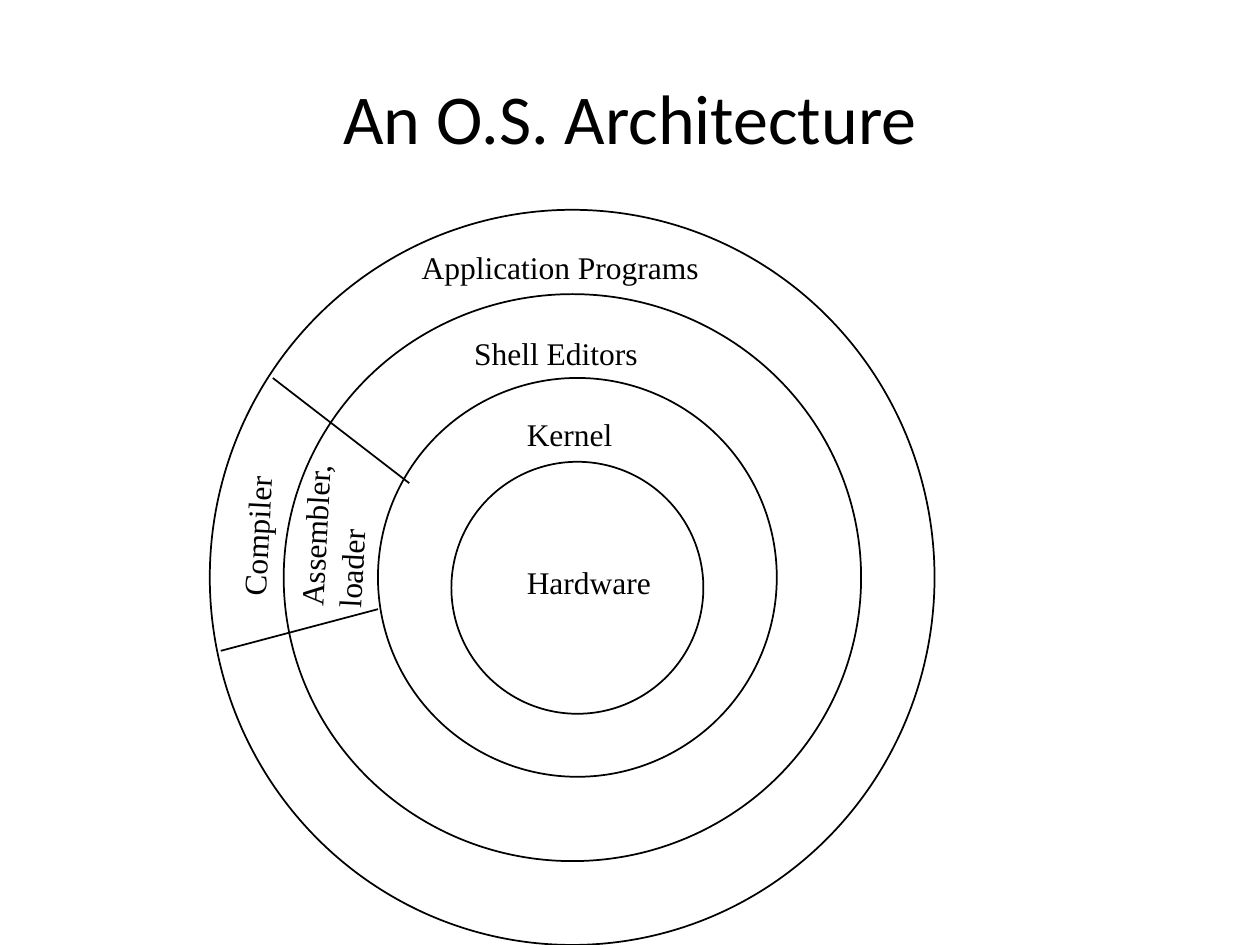
from lxml.etree import SubElement
from pptx import Presentation
from pptx.dml.color import RGBColor
from pptx.enum.shapes import MSO_CONNECTOR, MSO_SHAPE
from pptx.enum.text import MSO_ANCHOR, MSO_AUTO_SIZE, PP_ALIGN
from pptx.oxml.ns import qn
from pptx.util import Cm, Pt

BLACK = "000000"

# Left, top, width, height in cm, from the outermost ring inwards
RINGS = [
    (4.23, 4.23, 14.61, 14.82),
    (5.72, 5.93, 11.64, 11.43),
    (7.62, 7.62, 8.04, 8.04),
    (9.1, 9.31, 5.08, 5.08),
]
RING_LABELS = [
    ("Application Programs", 8.25, 4.87, 6.1),
    ("Shell Editors", 9.31, 6.6, 3.81),
    ("Kernel", 10.37, 8.25, 2.24),
    ("Hardware", 10.37, 11.22, 3.02),
]
# Start x, y and end x, y in cm
DIVIDERS = [(5.5, 7.62, 8.25, 9.74), (4.45, 13.12, 7.62, 12.28)]
SECTOR_LABELS = [
    ("Compiler", 3.39, 9.95, 3.6, 1.02),
    ("Assembler, loader", 4.93, 9.8, 3.6, 1.78),
]


def color(value):
    return RGBColor.from_string(value)


def set_font(p, name, size):
    p.font.name = name
    p.font.size = Pt(size)
    p.font.color.rgb = color(BLACK)


def set_line(s):
    s.line.color.rgb = color(BLACK)
    s.line.width = Pt(1)


def add_title(slide, text):
    s = slide.shapes.title
    s.left, s.top, s.width, s.height = Cm(1.27), Cm(0.76), Cm(22.86), Cm(3.18)
    tf = s.text_frame
    tf.text = text
    tf.vertical_anchor = MSO_ANCHOR.MIDDLE
    p = tf.paragraphs[0]
    p.alignment = PP_ALIGN.CENTER
    set_font(p, "Calibri", 40)


def add_ring(slide, *box):
    s = slide.shapes.add_shape(MSO_SHAPE.OVAL, *map(Cm, box))
    s.shadow.inherit = False
    s.fill.background()
    set_line(s)


def add_divider(slide, *ends):
    s = slide.shapes.add_connector(MSO_CONNECTOR.STRAIGHT, *map(Cm, ends))
    set_line(s)
    SubElement(s._element.spPr, qn("a:effectLst"))


def add_label(slide, text, left, top, width, height=1.02, rotation=0, wrap=False):
    s = slide.shapes.add_textbox(Cm(left), Cm(top), Cm(width), Cm(height))
    s.rotation = rotation
    tf = s.text_frame
    tf.text = text
    tf.word_wrap = wrap
    tf.auto_size = MSO_AUTO_SIZE.SHAPE_TO_FIT_TEXT
    set_font(tf.paragraphs[0], "Times New Roman", 18)


def main():
    prs = Presentation()
    prs.slide_width, prs.slide_height = Cm(25.4), Cm(19.05)
    slide = prs.slides.add_slide(prs.slide_layouts[5])
    add_title(slide, "An O.S. Architecture")

    # Concentric layers and their names
    for ring in RINGS:
        add_ring(slide, *ring)
    for label in RING_LABELS:
        add_label(slide, *label)

    # Sector cut out of the two outer layers
    for divider in DIVIDERS:
        add_divider(slide, *divider)
    for label in SECTOR_LABELS:
        add_label(slide, *label, rotation=272.9, wrap=True)

    prs.save("out.pptx")


if __name__ == "__main__":
    main()
